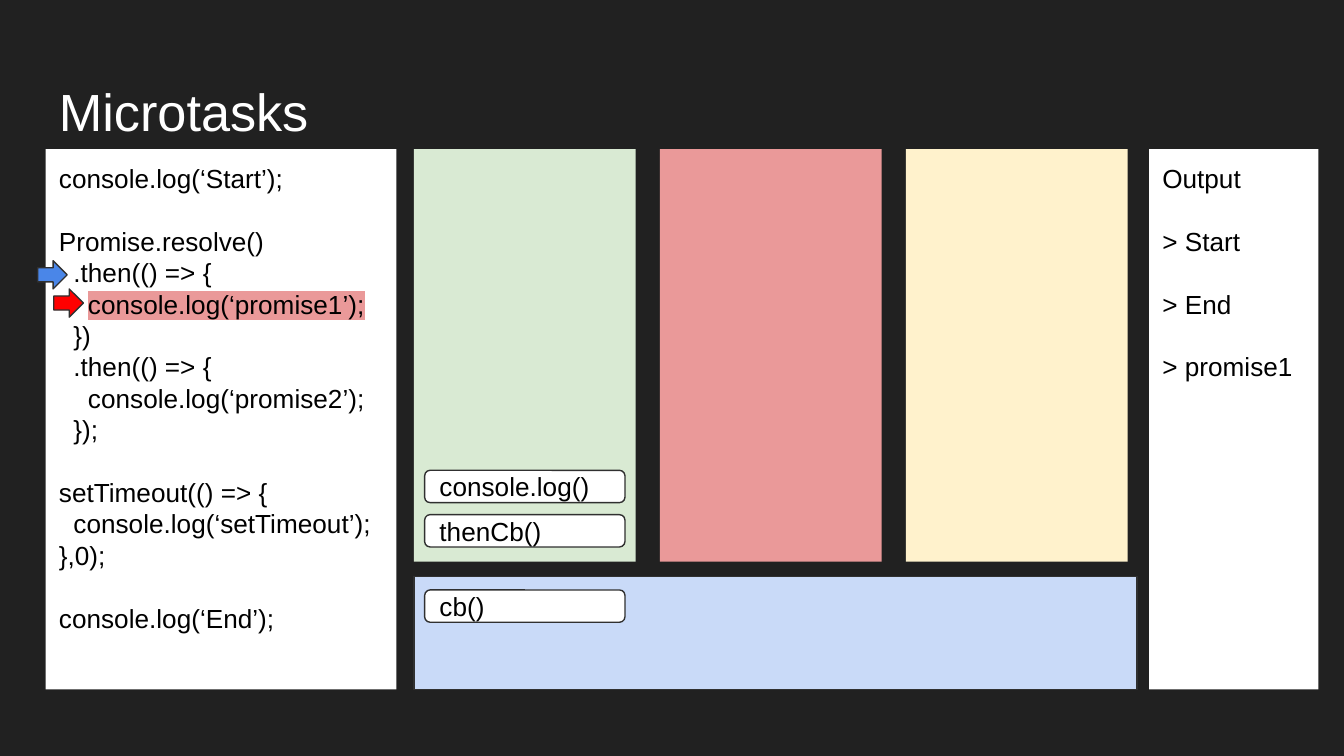
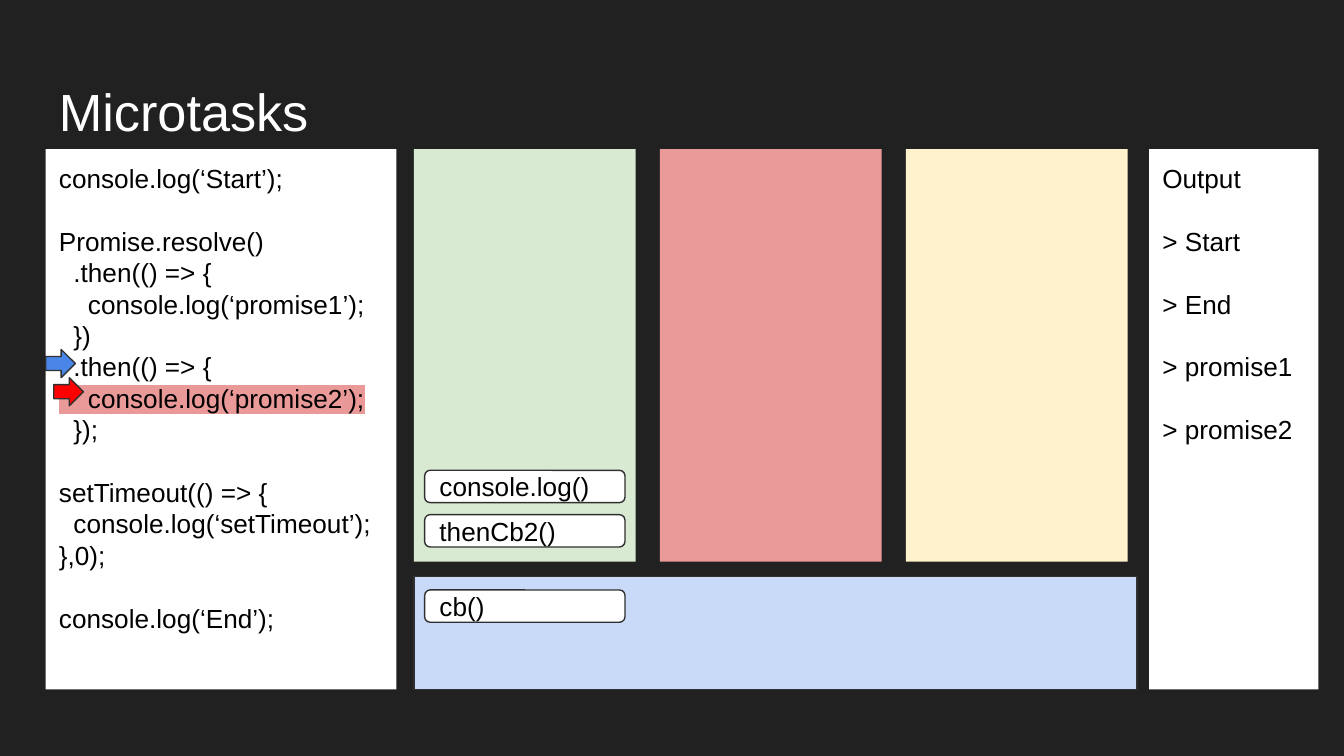
from dataclasses import dataclass
from typing import NamedTuple

from lxml import etree
from pptx import Presentation
from pptx.dml.color import RGBColor
from pptx.enum.shapes import MSO_SHAPE
from pptx.enum.text import MSO_ANCHOR, PP_ALIGN
from pptx.oxml.ns import qn
from pptx.util import Inches, Pt

RECT = MSO_SHAPE.RECTANGLE
ROUNDED = MSO_SHAPE.ROUNDED_RECTANGLE
ARROW = MSO_SHAPE.RIGHT_ARROW
TOP, MIDDLE = MSO_ANCHOR.TOP, MSO_ANCHOR.MIDDLE
LEFT = PP_ALIGN.LEFT

FONT = "Arial"
DARK, WHITE, BLACK, OUTLINE = "212121", "FFFFFF", "000000", "303030"
GREEN, PINK, YELLOW, PALE_BLUE = "D9EAD3", "EA9999", "FFF2CC", "C9DAF8"
BLUE, RED = "4A86E8", "FF0000"

TITLE_SIZE, BODY_SIZE = 28, 14
LEADING = 1.2       # line pitch as a share of the text size
INDENT = 7.78       # points for one level of code, two spaces wide
INSET = 0.1

# Grid: panels hang from one top line and end on one bottom line
SLIDE_W = 10
SLIDE_H = SLIDE_W * 9 / 16
PANEL_TOP, PANEL_H = 1.11, 4.02
CODE_X, CODE_W = 0.34, 2.61
LANE_X, LANE_W, LANE_H, LANE_PITCH = 3.08, 1.65, 3.07, 1.83
QUEUE_Y, QUEUE_W, QUEUE_H = 4.29, 5.38, 0.84
OUTPUT_X, OUTPUT_W = 8.55, 1.26
CHIP_X, CHIP_W, CHIP_H = 3.16, 1.49, 0.24
STACK_Y, STACK_PITCH, QUEUE_CHIP_Y = 3.83, 0.33, 4.39
ARROW_W, ARROW_H, RED_X = 0.22, 0.21, 0.4


class Box(NamedTuple):
    """Left, top, width and height in inches."""
    x: float
    y: float
    w: float
    h: float


class Line(NamedTuple):
    """One line of text with its indent level and the empty rows above it."""
    text: str
    level: int = 0
    gap: int = 0


@dataclass
class Step:
    """What changes from slide to slide."""
    active: int             # index of the highlighted code line
    callback: str
    output: list[str]
    blue_x: float
    blue_y: float
    mark_indent: bool = False   # the highlight covers the code's indent too


CODE = [
    Line("console.log(‘Start’);"),
    Line("Promise.resolve()", gap=1),
    Line(".then(() => {", 1),
    Line("console.log(‘promise1’);", 2),
    Line("})", 1),
    Line(".then(() => {", 1),
    Line("console.log(‘promise2’);", 2),
    Line("});", 1),
    Line("setTimeout(() => {", gap=1),
    Line("console.log(‘setTimeout’);", 1),
    Line("},0);"),
    Line("console.log(‘End’);", gap=1),
]

STEPS = [
    Step(3, "thenCb()", ["> Start", "> End", "> promise1"], 0.28, 1.94),
    Step(6, "thenCb2()", ["> Start", "> End", "> promise1", "> promise2"],
         0.34, 2.6, mark_indent=True),
]


def rgb(color: str) -> RGBColor:
    """Turn a hex string into a colour."""
    return RGBColor.from_string(color)


def highlight(r, color: str) -> None:
    """Mark a run with a background colour."""
    fill = r.font.fill._xPr.find(qn("a:solidFill"))
    mark = etree.Element(qn("a:highlight"))
    etree.SubElement(mark, qn("a:srgbClr")).set("val", color)
    fill.addnext(mark)


def write(sp, lines: list[Line], size: float = BODY_SIZE, color: str = BLACK,
          anchor=TOP, active: int = -1) -> None:
    """Write lines into a shape, highlighting the active one."""
    tf = sp.text_frame
    tf.word_wrap = True
    tf.vertical_anchor = anchor
    tf.margin_left = tf.margin_right = Inches(INSET)
    tf.margin_top = tf.margin_bottom = Inches(INSET)
    for i, line in enumerate(lines):
        p = tf.add_paragraph() if i else tf.paragraphs[0]
        p.alignment = LEFT
        p.line_spacing = Pt(size * LEADING)
        p.space_before = Pt(size * LEADING * line.gap)
        if line.level:
            p._p.get_or_add_pPr().set("marL", str(Pt(INDENT * line.level)))
        r = p.add_run()
        r.text = line.text
        r.font.size = Pt(size)
        r.font.color.rgb = rgb(color)
        r.font.name = FONT
        if i == active:
            highlight(r, PINK)


def add_box(s, kind, box: Box, fill: str, outlined: bool = False):
    """Draw a filled preset shape, with or without the thin outline."""
    sp = s.shapes.add_shape(kind, *(Inches(v) for v in box))
    sp.shadow.inherit = False
    sp.fill.solid()
    sp.fill.fore_color.rgb = rgb(fill)
    if outlined:
        sp.line.color.rgb = rgb(OUTLINE)
        sp.line.width = Pt(0.75)
    else:
        sp.line.fill.background()
    return sp


def add_chip(s, text: str, y: float) -> None:
    """Draw one rounded call label."""
    sp = add_box(s, ROUNDED, Box(CHIP_X, y, CHIP_W, CHIP_H), WHITE, True)
    write(sp, [Line(text)], anchor=MIDDLE)


def add_frame(s) -> None:
    """Draw the background, title, lanes and queue shared by all slides."""
    s.background.fill.solid()
    s.background.fill.fore_color.rgb = rgb(DARK)
    title = s.shapes.add_textbox(Inches(CODE_X), Inches(0.49),
                                 Inches(9.32), Inches(0.63))
    write(title, [Line("Microtasks")], TITLE_SIZE, WHITE)
    for i, fill in enumerate((GREEN, PINK, YELLOW)):
        x = LANE_X + i * LANE_PITCH
        add_box(s, RECT, Box(x, PANEL_TOP, LANE_W, LANE_H), fill)
    add_box(s, RECT, Box(LANE_X, QUEUE_Y, QUEUE_W, QUEUE_H), PALE_BLUE, True)


def code_lines(step: Step) -> list[Line]:
    """Give the code, with the active indent as text where it is marked."""
    lines = list(CODE)
    if step.mark_indent:
        line = lines[step.active]
        lines[step.active] = Line("  " * line.level + line.text)
    return lines


def add_step(s, step: Step) -> None:
    """Draw the code, output, call labels and arrows of one step."""
    code = add_box(s, RECT, Box(CODE_X, PANEL_TOP, CODE_W, PANEL_H), WHITE)
    write(code, code_lines(step), active=step.active)
    output = add_box(s, RECT, Box(OUTPUT_X, PANEL_TOP, OUTPUT_W, PANEL_H), WHITE)
    write(output, [Line("Output")] + [Line(t, gap=1) for t in step.output])

    for i, text in enumerate((step.callback, "console.log()")):
        add_chip(s, text, STACK_Y - i * STACK_PITCH)
    add_chip(s, "cb()", QUEUE_CHIP_Y)

    arrows = ((step.blue_x, step.blue_y, BLUE),
              (RED_X, step.blue_y + ARROW_H, RED))
    for x, y, fill in arrows:
        add_box(s, ARROW, Box(x, y, ARROW_W, ARROW_H), fill, True)


prs = Presentation()
prs.slide_width, prs.slide_height = Inches(SLIDE_W), Inches(SLIDE_H)
blank = prs.slide_layouts[6]
for step in STEPS:
    s = prs.slides.add_slide(blank)
    add_frame(s)
    add_step(s, step)
prs.save("out.pptx")
